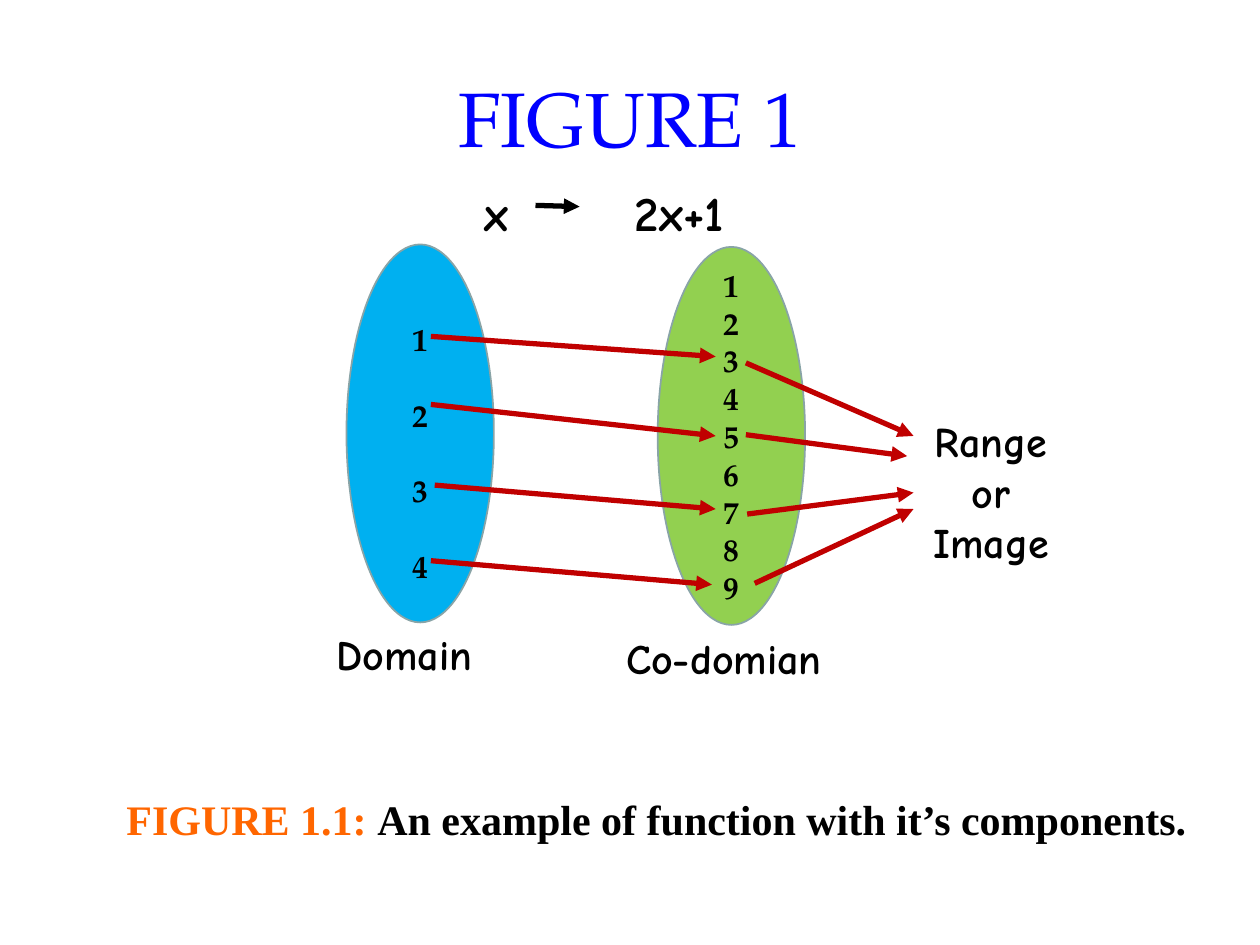
from dataclasses import dataclass

from lxml import etree
from pptx import Presentation
from pptx.dml.color import RGBColor
from pptx.enum.shapes import MSO_CONNECTOR, MSO_SHAPE
from pptx.enum.text import MSO_ANCHOR, PP_ALIGN
from pptx.oxml.ns import qn
from pptx.util import Inches, Pt

CENTER, LEFT = PP_ALIGN.CENTER, PP_ALIGN.LEFT
MIDDLE, TOP = MSO_ANCHOR.MIDDLE, MSO_ANCHOR.TOP
OVAL, STRAIGHT = MSO_SHAPE.OVAL, MSO_CONNECTOR.STRAIGHT

BLACK = RGBColor(0x00, 0x00, 0x00)
TITLE_BLUE = RGBColor(0x00, 0x00, 0xFF)
CAPTION_ORANGE = RGBColor(0xFF, 0x66, 0x00)
DOMAIN_BLUE = RGBColor(0x00, 0xB0, 0xF0)
CODOMAIN_GREEN = RGBColor(0x92, 0xD0, 0x50)
OUTLINE_GRAY = RGBColor(0x89, 0xA4, 0xA7)
ARROW_RED = RGBColor(0xC0, 0x00, 0x00)

SERIF, HAND, TIMES = "TeX Gyre Pagella", "Comic Neue", "Times New Roman"
TITLE_FONT = {"name": SERIF, "size": Pt(44), "bold": False}
NUMBER_FONT = {"name": SERIF, "size": Pt(18), "bold": True}
LABEL_FONT = {"name": HAND, "size": Pt(24), "bold": True}
FORMULA_FONT = {"name": HAND, "size": Pt(28), "bold": True}
CAPTION_FONT = {"name": TIMES, "size": Pt(24), "bold": True}

SLIDE_W, SLIDE_H = Inches(10), Inches(7.5)
COL, ROW = SLIDE_W / 100, SLIDE_H / 75  # the slide is a grid of 100 x 75 cells


@dataclass
class Box:
    """A region in grid columns and rows."""
    left: float
    top: float
    width: float
    height: float

    def inner(self, left, top, width, height):
        return Box(self.left + left, self.top + top, width, height)

    def point(self, col, row):
        return round((self.left + col) * COL), round((self.top + row) * ROW)

    def frame(self):
        return (*self.point(0, 0), round(self.width * COL), round(self.height * ROW))


def format_font(font, values, color):
    for key, value in values.items():
        setattr(font, key, value)
    font.color.rgb = color


def write_lines(shape, lines, font, anchor=TOP, align=CENTER, spacing=1.0):
    """Fill a shape with paragraphs, each a list of (text, color) runs."""
    frame = shape.text_frame
    frame.word_wrap = True
    frame.vertical_anchor = anchor
    for index, runs in enumerate(lines):
        line = frame.add_paragraph() if index else frame.paragraphs[0]
        line.alignment = align
        line.line_spacing = spacing
        for text, color in runs:
            run = line.add_run()
            run.text = text
            format_font(run.font, font, color)
    return frame


def add_text(slide, box, runs, font, align=CENTER):
    label = slide.shapes.add_textbox(*box.frame())
    return write_lines(label, [runs], font, align=align)


def add_set(slide, box, numbers, fill, spacing):
    """Draw an ellipse that lists the members of a set."""
    ellipse = slide.shapes.add_shape(OVAL, *box.frame())
    ellipse.shadow.inherit = False
    ellipse.fill.solid()
    ellipse.fill.fore_color.rgb = fill
    ellipse.line.color.rgb = OUTLINE_GRAY
    ellipse.line.width = Pt(1)
    members = [[(str(number), BLACK)] for number in numbers]
    write_lines(ellipse, members, NUMBER_FONT, MIDDLE, spacing=spacing)


def add_arrow(slide, box, start, end, color):
    arrow = slide.shapes.add_connector(STRAIGHT, *box.point(*start), *box.point(*end))
    arrow.line.color.rgb = color
    arrow.line.width = Pt(3)
    etree.SubElement(arrow.line._get_or_add_ln(), qn("a:tailEnd"), type="triangle")
    etree.SubElement(arrow._element.spPr, qn("a:effectLst"))


def add_formula(slide, box):
    """Write the rule, with a tab stop leaving room for its arrow."""
    formula = add_text(slide, box, [("x\t2x+1", BLACK)], FORMULA_FONT, LEFT)
    properties = formula.paragraphs[0]._p.get_or_add_pPr()
    stops = etree.SubElement(properties, qn("a:tabLst"))
    etree.SubElement(stops, qn("a:tab"), pos=str(round(11.9 * COL)), algn="l")
    add_arrow(slide, box, (5, 2.3), (8.5, 2.4), BLACK)


def add_mapping(slide, box):
    """Draw the domain, the co-domain and the range with their arrows."""
    add_text(slide, box.inner(47.5, 18.5, 12.3, 17), [("Range or Image", BLACK)], LABEL_FONT)
    add_set(slide, box.inner(2.5, 5.4, 11.7, 30), range(1, 5), DOMAIN_BLUE, 2.0)
    add_set(slide, box.inner(27.2, 5.6, 11.7, 30), range(1, 10), CODOMAIN_GREEN, 1.0)

    domain_to_codomain = [
        ((9.2, 12.7), (31.8, 14.3)),
        ((9.2, 18.1), (31.8, 20.6)),
        ((9.5, 24.5), (31.8, 26.4)),
        ((9.2, 30.5), (31.5, 32.4)),
    ]
    codomain_to_range = [
        ((34.2, 14.8), (47.5, 20.6)),
        ((34.2, 20.5), (47, 22.2)),
        ((34.3, 26.8), (47.5, 25.1)),
        ((34.9, 32.3), (47.5, 26.4)),
    ]
    for start, end in domain_to_codomain + codomain_to_range:
        add_arrow(slide, box, start, end, ARROW_RED)

    add_text(slide, box.inner(23.3, 35.7, 18.3, 9), [("Co-domian", BLACK)], LABEL_FONT)
    add_text(slide, box.inner(0, 35.4, 14.2, 9), [("Domain", BLACK)], LABEL_FONT)
    add_formula(slide, box.inner(12.5, 0, 21.7, 5.7))


def add_title(slide, box):
    title = slide.shapes.title
    title.left, title.top, title.width, title.height = box.frame()
    write_lines(title, [[("FIGURE 1", TITLE_BLUE)]], TITLE_FONT, MIDDLE)


def add_caption(slide, box):
    runs = [("FIGURE 1.1: ", CAPTION_ORANGE),
            ("An example of function with it’s components.", BLACK)]
    add_text(slide, box, runs, CAPTION_FONT)


def main():
    deck = Presentation()
    deck.slide_width, deck.slide_height = SLIDE_W, SLIDE_H
    slide = deck.slides.add_slide(deck.slide_layouts.get_by_name("Title Only"))
    add_title(slide, Box(5, 3, 90, 12.5))
    add_caption(slide, Box(4.2, 62.5, 95.8, 5))
    add_mapping(slide, Box(25, 14, 59.8, 44.7))
    deck.save("out.pptx")


if __name__ == "__main__":
    main()
